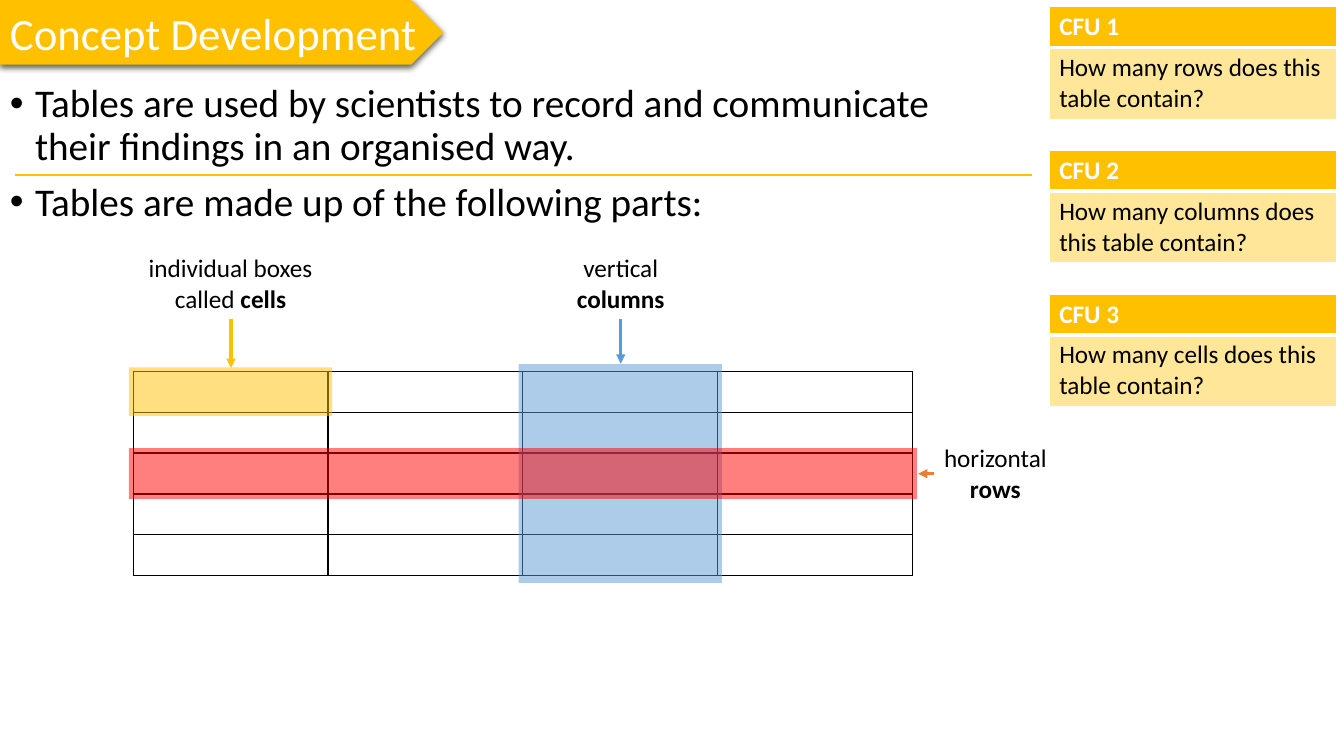
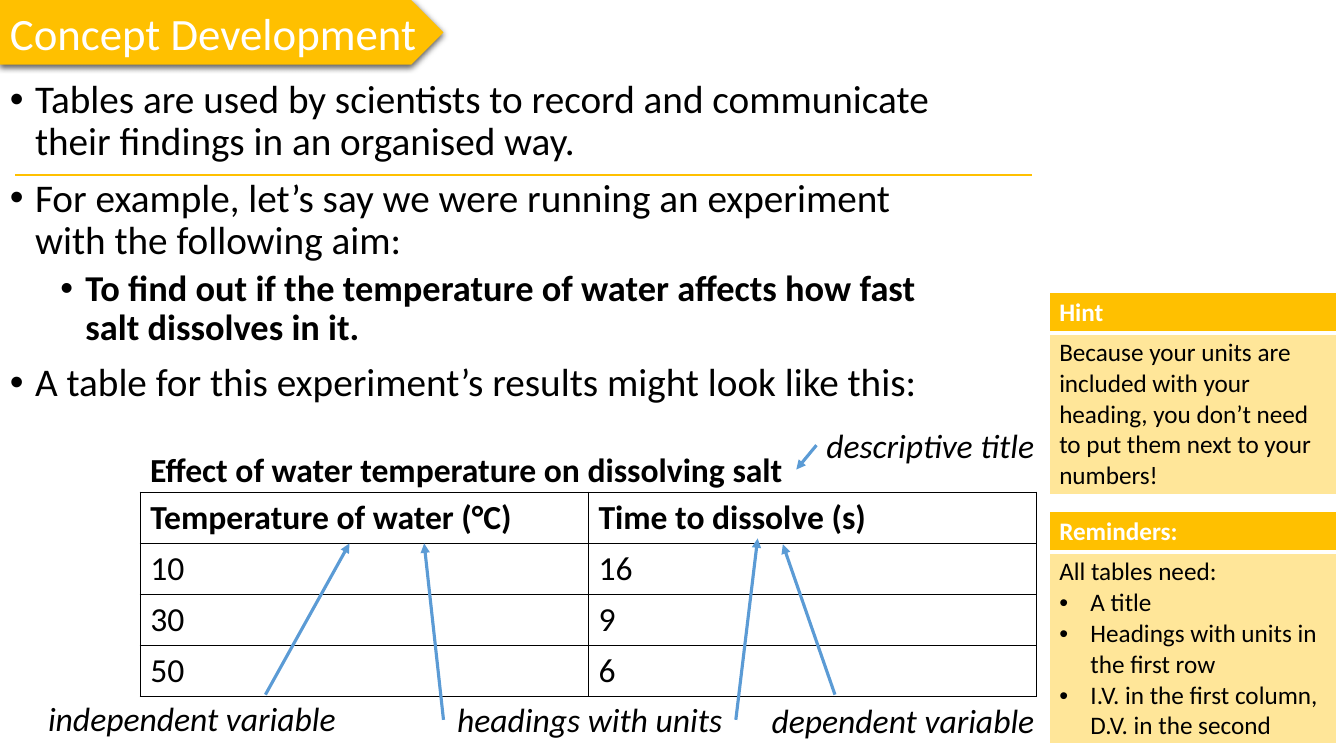
from lxml import etree
from pptx import Presentation
from pptx.dml.color import RGBColor
from pptx.enum.shapes import MSO_CONNECTOR, MSO_SHAPE
from pptx.enum.text import MSO_ANCHOR, PP_ALIGN
from pptx.oxml.ns import qn
from pptx.util import Inches, Pt

CENTER, LEFT = PP_ALIGN.CENTER, PP_ALIGN.LEFT
TOP, MIDDLE = MSO_ANCHOR.TOP, MSO_ANCHOR.MIDDLE
PENTAGON, RECTANGLE = MSO_SHAPE.PENTAGON, MSO_SHAPE.RECTANGLE
STRAIGHT = MSO_CONNECTOR.STRAIGHT

WIDTH, HEIGHT = Inches(13.333), Inches(7.5)
COLUMNS, ROWS = 160, 90
FONT = "Calibri"
COLOURS = {
    "gold": "FFC000", "cream": "FFE699", "blue": "5B9BD5", "red": "FF0000",
    "orange": "ED7D31", "black": "000000", "white": "FFFFFF",
}
BOLD = {"bold": True}
ITALIC = {"italic": True}
INTRO = ("Tables are used by scientists to record and communicate "
         "their findings in an organised way.")


def across(columns):
    return round(WIDTH * columns / COLUMNS)


def down(rows):
    return round(HEIGHT * rows / ROWS)


def place(left, top, width, height):
    return across(left), down(top), across(width), down(height)


def colour(name):
    return RGBColor.from_string(COLOURS[name])


def assign(target, values):
    for name, value in values.items():
        setattr(target, name, value)


def add_xml(parent, tag, **attributes):
    child = etree.SubElement(parent, qn(tag))
    for name, value in attributes.items():
        child.set(name, str(value))
    return child


def point(text, level=0, **font):
    return {
        "spans": [(text, {"size": Pt(26 if level else 28), **font})],
        "indent": (0.75 if level else 0.25, 0.25),
        "layout": {"line_spacing": 0.9, "space_before": Pt(5 if level else 10)},
    }


def reminder(text):
    return {"spans": [(text, {})], "indent": (0.31, 0.31)}


class Lesson:
    def __init__(self):
        self.deck = Presentation()
        assign(self.deck, {"slide_width": WIDTH, "slide_height": HEIGHT})
        self.page = None

    def start(self, title):
        self.page = self.deck.slides.add_slide(self.deck.slide_layouts[6]).shapes
        tag = self.shape(PENTAGON, place(0, 0, 52.8, 7.7), "gold")
        shadow = add_xml(tag._element.spPr.find(qn("a:effectLst")), "a:outerShdw",
                         blurRad=Pt(4.5), dist=Pt(1.5), dir=5400000, algn="t", rotWithShape=0)
        add_xml(add_xml(shadow, "a:srgbClr", val=COLOURS["black"]), "a:alpha", val=63000)
        assign(tag.text_frame, {"word_wrap": False, "vertical_anchor": MIDDLE})
        self.paragraphs(tag.text_frame, [title], 32, "white")
        self.line((1.8, 20.8), (122.8, 20.8), "gold", 1.5)

    def paragraphs(self, frame, contents, size, ink="black", align=LEFT, **font):
        for index, content in enumerate(contents):
            if isinstance(content, str):
                content = {"spans": [(content, {})]}
            para = frame.add_paragraph() if index else frame.paragraphs[0]
            para.alignment = align
            if "indent" in content:
                margin, hang = content["indent"]
                properties = para._p.get_or_add_pPr()
                properties.set("marL", str(Inches(margin)))
                properties.set("indent", str(-Inches(hang)))
                add_xml(properties, "a:buFont", typeface="Arial")
                add_xml(properties, "a:buChar", char="•")
            layout = dict(content.get("layout", {}))
            if not index:
                layout.pop("space_before", None)
            assign(para, layout)
            for text, changes in content["spans"]:
                span = para.add_run()
                span.text = text
                assign(span.font, {"name": FONT, "size": Pt(size), **font, **changes})
                span.font.color.rgb = colour(ink)

    def text(self, area, contents, size, align=LEFT, **font):
        frame = self.page.add_textbox(*place(*area)).text_frame
        assign(frame, {"word_wrap": True, "vertical_anchor": TOP})
        self.paragraphs(frame, contents, size, align=align, **font)

    def label(self, area, plain, strong):
        self.text(area, [{"spans": [(plain, {}), (strong, BOLD)]}], 18, CENTER)

    def shape(self, kind, area, fill, opacity=100):
        box = self.page.add_shape(kind, *area)
        box.shadow.inherit = False
        box.fill.solid()
        box.fill.fore_color.rgb = colour(fill)
        box.line.fill.background()
        if opacity < 100:
            shade = box._element.spPr.find(qn("a:solidFill"))[0]
            add_xml(shade, "a:alpha", val=opacity * 1000)
        return box

    def line(self, start, end, ink, weight):
        stroke = self.page.add_connector(
            STRAIGHT, across(start[0]), down(start[1]), across(end[0]), down(end[1]))
        stroke.line.color.rgb = colour(ink)
        stroke.line.width = Pt(weight)
        add_xml(stroke._element.spPr, "a:effectLst")
        return stroke

    def arrow(self, start, end, ink="blue"):
        stroke = self.line(start, end, ink, 2.25)
        add_xml(stroke._element.spPr.find(qn("a:ln")), "a:tailEnd", type="triangle")

    def table(self, left, top, width, heights, columns):
        area = place(left, top, width, sum(heights))
        table = self.page.add_table(len(heights), columns, *area).table
        assign(table, {"first_row": False, "horz_banding": False})
        for row, height in zip(table.rows, heights):
            row.height = down(height)
        return table

    def cell(self, cell, edge, fill=None, **weights):
        properties = cell._tc.get_or_add_tcPr()
        for side in "LRTB":
            border = add_xml(properties, f"a:ln{side}", w=Pt(weights.get(side, 1)))
            add_xml(add_xml(border, "a:solidFill"), "a:srgbClr", val=COLOURS[edge])
        if fill:
            cell.fill.solid()
            cell.fill.fore_color.rgb = colour(fill)
        else:
            cell.fill.background()

    def card(self, top, heading, contents, height):
        table = self.table(124.9, top, 34.2, (4.8, height), 1)
        head, body = table.cell(0, 0), table.cell(1, 0)
        self.cell(head, "white", "gold", B=3)
        self.cell(body, "white", "cream", T=3)
        self.paragraphs(head.text_frame, [heading], 18, "white", **BOLD)
        self.paragraphs(body.text_frame, contents, 18)

    def grid(self, left, top, width, height, rows, columns, words=()):
        table = self.table(left, top, width, [height] * rows, columns)
        for cell in table.iter_cells():
            self.cell(cell, "black")
        for row, values in enumerate(words):
            for column, value in enumerate(values):
                self.paragraphs(table.cell(row, column).text_frame, [value], 24, bold=row == 0)


def table_parts(lesson):
    lesson.start("Concept Development")
    questions = ("rows does this", "columns does this", "cells does this")
    for index, question in enumerate(questions):
        lesson.card(0.8 + 17.1 * index, f"CFU {index + 1}",
                    [f"How many {question} table contain?"], 8.4)
    lesson.text((0, 9.4, 112.3, 57.1), [
        point(INTRO), point("Tables are made up of the following parts:")], 28)

    left, top, width, height = 15.85, 44.2, 23.2, 4.87
    lesson.grid(left, top, width * 4, height, 5, 4)
    highlights = (
        (2, 0, 1, 5, 0.85, "blue"), (0, 2, 4, 1, 0.6, "red"), (0, 0, 1, 1, 0.45, "gold"))
    for column, row, columns, rows, pad, fill in highlights:
        area = place(left + column * width - 0.5, top + row * height - pad,
                     columns * width + 1, rows * height + 2 * pad)
        lesson.shape(RECTANGLE, area, fill, 50)

    lesson.label((67.4, 29.5, 13, 8.5), "vertical ", "columns")
    lesson.label((111.2, 52.1, 14.6, 8.5), "horizontal ", "rows")
    lesson.label((16.4, 29.5, 22.1, 8.5), "individual boxes called ", "cells")
    lesson.arrow((73.9, 38), (73.9, 43.3))
    lesson.arrow((111.2, 56.4), (109.3, 56.4), "orange")
    lesson.arrow((27.5, 38), (27.5, 43.8), "gold")


def worked_example(lesson):
    lesson.start("Concept Development")
    lesson.text((0, 8.9, 112.3, 69.5), [
        point(INTRO),
        point("For example, let’s say we were running an experiment with the following aim:"),
        point("To find out if the temperature of water affects how fast "
              "salt dissolves in it.", 1, **BOLD),
        point("A table for this experiment’s results might look like this:"),
    ], 28)
    lesson.card(34.8, "Hint", ["Because your units are included with your heading, "
                               "you don’t need to put them next to your numbers!"], 19.3)
    lesson.card(60.9, "Reminders:", [
        "All tables need:",
        reminder("A title"),
        reminder("Headings with units in the first row"),
        reminder("I.V. in the first column, D.V. in the second"),
    ], 22.8)
    lesson.grid(16.7, 58.6, 106.7, 6.08, 4, 2, (
        ("Temperature of water (°C)", "Time to dissolve (s)"),
        ("10", "16"), ("30", "9"), ("50", "6")))
    lesson.text((16.7, 52.9, 78.1, 6), ["Effect of water temperature on dissolving salt"],
                24, **BOLD)
    notes = (
        ((97.2, 50, 27.6, 6), "descriptive title", LEFT),
        ((52.8, 82.6, 34.8, 6), "headings with units", CENTER),
        ((4, 82.5, 37.7, 6), "independent variable", CENTER),
        ((90.1, 82.7, 34.8, 6), "dependent variable", CENTER),
    )
    for area, words, align in notes:
        lesson.text(area, [words], 24, align, **ITALIC)
    arrows = (
        ((97.2, 53), (94.8, 55.9)), ((52.8, 85.7), (50.5, 64.7)),
        ((87.6, 85.7), (90.2, 64.1)), ((31.6, 82.7), (41.6, 64.7)),
        ((99.4, 82.7), (93.2, 64.8)),
    )
    for start, end in arrows:
        lesson.arrow(start, end)


def main():
    lesson = Lesson()
    table_parts(lesson)
    worked_example(lesson)
    lesson.deck.save("out.pptx")


if __name__ == "__main__":
    main()
